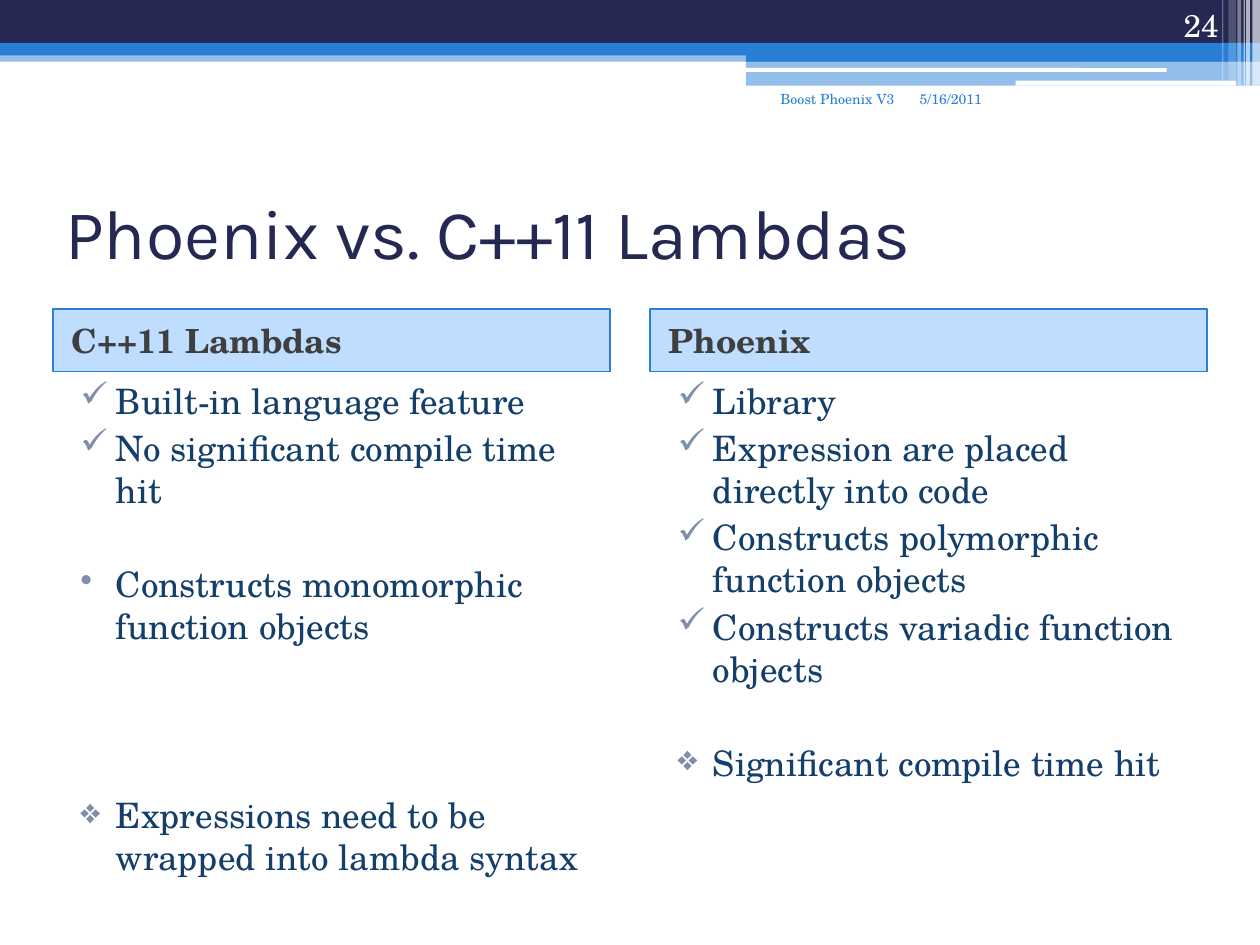
from pptx import Presentation
from pptx.dml.color import RGBColor
from pptx.enum.shapes import MSO_SHAPE
from pptx.enum.text import MSO_ANCHOR, PP_ALIGN
from pptx.oxml.ns import qn
from pptx.util import Inches, Pt
from lxml import etree

RECT, ROUND = MSO_SHAPE.RECTANGLE, MSO_SHAPE.ROUNDED_RECTANGLE
TOP, MIDDLE, BOTTOM = MSO_ANCHOR.TOP, MSO_ANCHOR.MIDDLE, MSO_ANCHOR.BOTTOM
LEFT, RIGHT = PP_ALIGN.LEFT, PP_ALIGN.RIGHT

NAVY, BLUE, WHITE = "242852", "297FD5", "FFFFFF"
HEADER_FILL, HEADER_TEXT = "007FFF", "3F3F3F"
BODY_TEXT, BULLET = "143F6A", "7F8FA9"
TITLE_FONT, BODY_FONT = "Karla", "TeX Gyre Schola"

BODY_SIZE, PARAGRAPH_GAP, ROW_PITCH = 20, 3, 27  # points
COLUMN_WIDTH = 4.42

# left, top, width, height, colour, opacity in percent
BANDS = [
    (0, 0.4, 10, 0.09, BLUE, 50),
    (0, 0, 10, 0.34, NAVY, 100),
    (0, 0.34, 10, 0.1, BLUE, 100),
    (5.92, 0.39, 4.08, 0.1, BLUE, 100),
    (5.92, 0.48, 4.08, 0.2, BLUE, 50),
]
WHITE_BARS = [(5.91, 0.54, 3.35, 0.03), (8.06, 0.64, 1.75, 0.04)]
# left, width, height, opacity in percent
STRIPES = [
    (9.94, 0.06, 0.68, 65),
    (9.89, 0.03, 0.68, 65),
    (9.87, 0.01, 0.68, 60),
    (9.82, 0.03, 0.68, 40),
    (9.75, 0.06, 0.64, 20),
    (9.7, 0.01, 0.64, 30),
]
# left, heading, items as (bullet, text, empty rows above)
COLUMNS = [
    (0.42, "C++11 Lambdas", [
        ("✓", "Built-in language feature", 0),
        ("✓", "No significant compile time hit", 0),
        ("•", "Constructs monomorphic function objects", 1),
        ("❖", "Expressions need to be wrapped into lambda syntax", 3),
    ]),
    (5.16, "Phoenix", [
        ("✓", "Library", 0),
        ("✓", "Expression are placed directly into code", 0),
        ("✓", "Constructs polymorphic function objects", 0),
        ("✓", "Constructs variadic function objects", 0),
        ("❖", "Significant compile time hit", 1),
    ]),
]


def rgb(color):
    return RGBColor.from_string(color)


def set_indent(p, margin, first_line=0):
    pPr = p._p.get_or_add_pPr()
    pPr.set("marL", str(Inches(margin)))
    pPr.set("indent", str(Inches(first_line)))
    return pPr


class SlideBuilder:
    def __init__(self, slide, font):
        self.slide = slide
        self.font = font

    def shape(self, x, y, w, h, fill, opacity=100, kind=RECT, line=None):
        sp = self.slide.shapes.add_shape(
            kind, Inches(x), Inches(y), Inches(w), Inches(h))
        sp.shadow.inherit = False
        sp.fill.solid()
        sp.fill.fore_color.rgb = rgb(fill)
        if opacity < 100:
            clr = sp._element.spPr.find(qn("a:solidFill"))[0]
            etree.SubElement(clr, qn("a:alpha"), val=str(opacity * 1000))
        if line:
            sp.line.color.rgb = rgb(line)
            sp.line.width = Pt(1)
        else:
            sp.line.fill.background()
        return sp

    def style(self, p, size, color, font=None, bold=False):
        for r in p.runs:
            r.font.size = Pt(size)
            r.font.name = font or self.font
            r.font.bold = bold
            r.font.color.rgb = rgb(color)

    def frame(self, x, y, w, h, anchor=TOP):
        box = self.slide.shapes.add_textbox(
            Inches(x), Inches(y), Inches(w), Inches(h))
        tf = box.text_frame
        tf.word_wrap = True
        tf.vertical_anchor = anchor
        return tf

    def text(self, x, y, w, h, text, size, color, font=None,
             align=LEFT, anchor=TOP):
        tf = self.frame(x, y, w, h, anchor)
        tf.text = text
        p = tf.paragraphs[0]
        p.alignment = align
        self.style(p, size, color, font)

    def header(self, x, y, w, h, text):
        sp = self.shape(x, y, w, h, HEADER_FILL, 25, line=BLUE)
        tf = sp.text_frame
        tf.word_wrap = True
        tf.vertical_anchor = MIDDLE
        tf.text = text
        p = tf.paragraphs[0]
        p.alignment = LEFT
        set_indent(p, 0.05)
        self.style(p, 19, HEADER_TEXT, bold=True)

    def bullets(self, x, y, w, h, items):
        tf = self.frame(x, y, w, h)
        for i, (mark, text, empty_rows) in enumerate(items):
            p = tf.add_paragraph() if i else tf.paragraphs[0]
            p.text = text
            pPr = set_indent(p, 0.4, -0.28)
            clr = etree.SubElement(pPr, qn("a:buClr"))
            etree.SubElement(clr, qn("a:srgbClr"), val=BULLET)
            etree.SubElement(pPr, qn("a:buChar"), char=mark)
            if i:
                p.space_before = Pt(PARAGRAPH_GAP + empty_rows * ROW_PITCH)
            self.style(p, BODY_SIZE, BODY_TEXT)


def main():
    prs = Presentation()
    prs.slide_width, prs.slide_height = Inches(10), Inches(7.5)
    s = SlideBuilder(prs.slides.add_slide(prs.slide_layouts[6]), BODY_FONT)

    for band in BANDS:
        s.shape(*band)
    for bar in WHITE_BARS:
        s.shape(*bar, WHITE, kind=ROUND)
    for x, w, h, opacity in STRIPES:
        s.shape(x, 0, w, h, WHITE, opacity)

    s.text(0.42, 1.25, 9.17, 1.17, "Phoenix vs. C++11 Lambdas", 40, NAVY,
           font=TITLE_FONT, anchor=MIDDLE)
    for x, heading, items in COLUMNS:
        s.header(x, 2.45, COLUMN_WIDTH, 0.5, heading)
        s.bullets(x, 2.96, COLUMN_WIDTH, 4.25, items)

    s.text(7.2, 0.67, 1.05, 0.5, "5/16/2011", 8, BLUE)
    s.text(5.75, 0.67, 1.45, 0.5, "Boost Phoenix V3", 8, BLUE, align=RIGHT)
    s.text(8.94, 0, 0.83, 0.4, "24", 18, WHITE, align=RIGHT, anchor=BOTTOM)

    prs.save("out.pptx")


if __name__ == "__main__":
    main()
